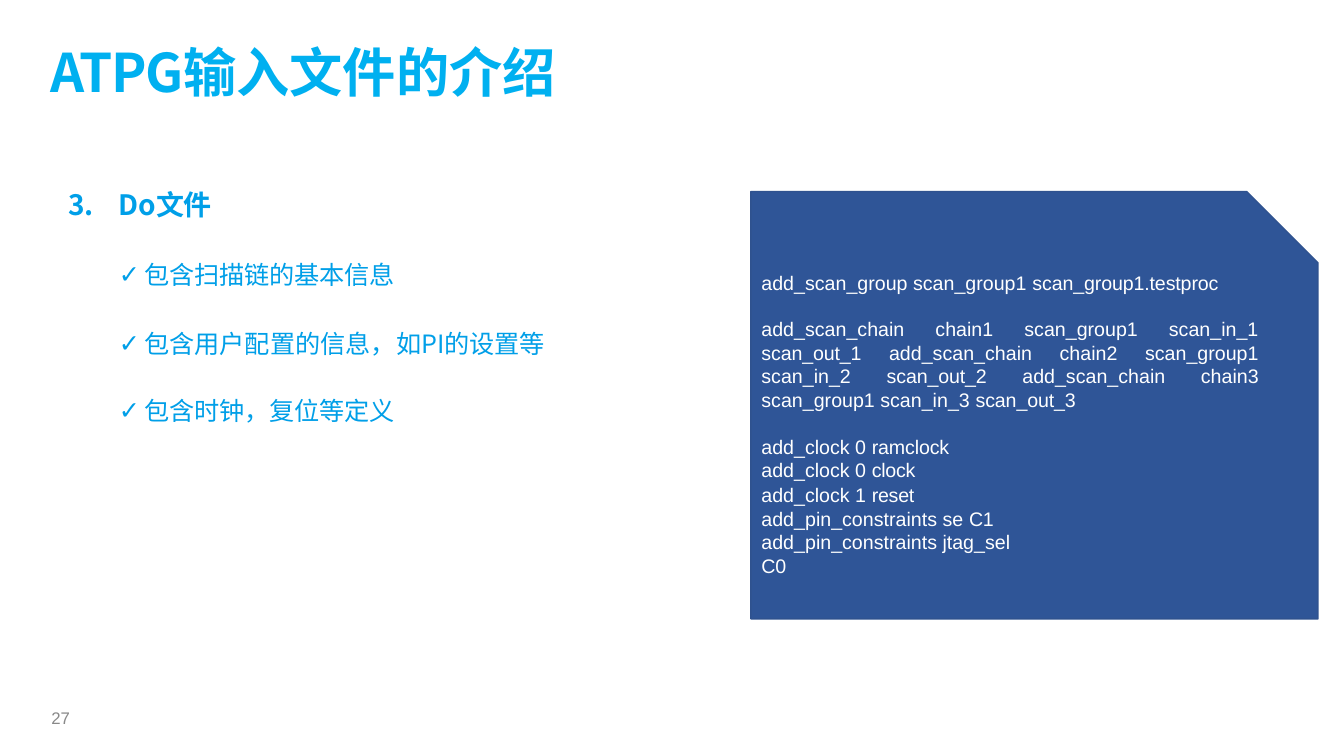
from lxml.etree import SubElement
from pptx import Presentation
from pptx.dml.color import RGBColor
from pptx.enum.shapes import MSO_SHAPE as Shape
from pptx.enum.text import MSO_ANCHOR as Anchor, MSO_AUTO_SIZE as AutoSize, PP_ALIGN as Align
from pptx.oxml.ns import qn
from pptx.util import Pt

COLORS = {"title": "00B0F0", "body": "009FE8", "panel": "2F5597",
          "outline": "2F528F", "code": "FFFFFF", "number": "898989"}
CJK, LATIN = "Noto Sans CJK SC", "Arial"


def prepare(box, left, top, width, height):
    """Place a text shape and return its frame without side margins."""
    box.left, box.top, box.width, box.height = Pt(left), Pt(top), Pt(width), Pt(height)
    frame = box.text_frame
    frame.word_wrap = True
    frame.auto_size = AutoSize.NONE
    frame.vertical_anchor = Anchor.TOP
    frame.margin_left = frame.margin_right = frame.margin_bottom = 0
    frame.margin_top = Pt(1)
    return frame


def add_span(para, text, size, font, color, bold=False, spacing=0):
    span = para.add_run()
    span.text = text
    span.font.size = Pt(size)
    span.font.name = font
    span.font.bold = bold
    span.font.color.rgb = RGBColor.from_string(COLORS[color])
    properties = span.font._element
    properties.set("spc", str(round(spacing * 100)))
    SubElement(properties, qn("a:ea")).set("typeface", font)


deck = Presentation()
deck.slide_width, deck.slide_height = Pt(960), Pt(540)
page = deck.slides.add_slide(deck.slide_layouts[1])

# Title
frame = prepare(page.shapes.title, 36, 27.4, 391, 49.7)
para = frame.paragraphs[0]
para.alignment = Align.LEFT
para.space_before = Pt(0)
for text, spacing in [("ATPG", -0.9), ("输入文件的介绍", -0.1)]:
    add_span(para, text, 38, CJK, "title", True, spacing)

# Numbered heading with check-marked points
points = [
    (0, 0, [("Do文件", -0.2)]),
    (1, 27.2, [("包含扫描链的基本信息", -0.1)]),
    (1, 27.4, [("包含用户配置的信息，如", 0), ("PI的设置等", -0.1)]),
    (1, 26.4, [("包含时钟，复位等定义", -0.1)]),
]
frame = prepare(page.placeholders[1], 48.2, 133.2, 342, 172)
for index, (level, before, spans) in enumerate(points):
    para = frame.add_paragraph() if index else frame.paragraphs[0]
    para.level = level
    properties = para._p.get_or_add_pPr()
    margin, indent = (Pt(54.7), Pt(-18)) if level else (Pt(36.7), Pt(-36))
    properties.set("marL", str(margin))
    properties.set("indent", str(indent))
    if level:
        SubElement(properties, qn("a:buChar")).set("char", "✓")
    else:
        number = SubElement(properties, qn("a:buAutoNum"))
        number.set("type", "arabicPeriod")
        number.set("startAt", "3")
    tab = SubElement(SubElement(properties, qn("a:tabLst")), qn("a:tab"))
    tab.set("pos", str(margin))
    tab.set("algn", "l")
    para.space_before = Pt(before)
    for text, spacing in spans:
        add_span(para, text, 18 if level else 20, CJK, "body", not level, spacing)

# Panel with a cut corner
panel = page.shapes.add_shape(Shape.SNIP_1_RECTANGLE, Pt(536.4), Pt(136.8), Pt(405), Pt(305.3))
panel.shadow.inherit = False
panel.fill.solid()
panel.fill.fore_color.rgb = RGBColor.from_string(COLORS["panel"])
panel.line.color.rgb = RGBColor.from_string(COLORS["outline"])
panel.line.width = Pt(1)

# Commands: space before, line spacing, right margin, spans
commands = [
    (0, 1.0, 0, [("add_scan_group scan_group1 ", 0), ("scan_group1.testproc", -0.1)]),
    (16.2, 1.01, 0, [
        ("add_scan_chain chain1 scan_group1 scan_in_1 ", 0), ("scan_out_1 ", -0.1),
        ("add_scan_chain chain2 scan_group1 scan_in_2 ", 0), ("scan_out_2 ", -0.1),
        ("add_scan_chain chain3 scan_group1 scan_in_3 ", 0), ("scan_out_3", -0.1)]),
    (16.3, 1.0, 0, [("add_clock 0 ", 0), ("ramclock", -0.1)]),
    (0.2, 1.0, 0, [("add_clock 0 ", 0), ("clock", -0.2)]),
    (0.4, Pt(17), 168, [
        ("add_clock 1 ", 0), ("reset ", -0.2),
        ("add_pin_constraints se ", 0), ("C1 ", -0.2),
        ("add_pin_constraints jtag_sel ", 0), ("C0", -0.2)]),
]
frame = prepare(page.shapes.add_textbox(0, 0, 0, 0), 542.9, 192.2, 356.4, 186.5)
for index, (before, line_spacing, right_margin, spans) in enumerate(commands):
    para = frame.add_paragraph() if index else frame.paragraphs[0]
    para.alignment = Align.JUSTIFY if index == 1 else Align.LEFT
    para.space_before = Pt(before)
    para.line_spacing = line_spacing
    properties = para._p.get_or_add_pPr()
    properties.set("marL", str(Pt(1)))
    properties.set("marR", str(Pt(right_margin)))
    for text, spacing in spans:
        add_span(para, text, 14, LATIN, "code", spacing=spacing)

# Page number
frame = prepare(page.shapes.add_textbox(0, 0, 0, 0), 33.8, 505.4, 17.3, 18)
frame.margin_top = 0
para = frame.paragraphs[0]
para.line_spacing = Pt(14.2)
para._p.get_or_add_pPr().set("marL", str(Pt(3)))
add_span(para, "27", 12, LATIN, "number", spacing=-0.2)

deck.save("out.pptx")
